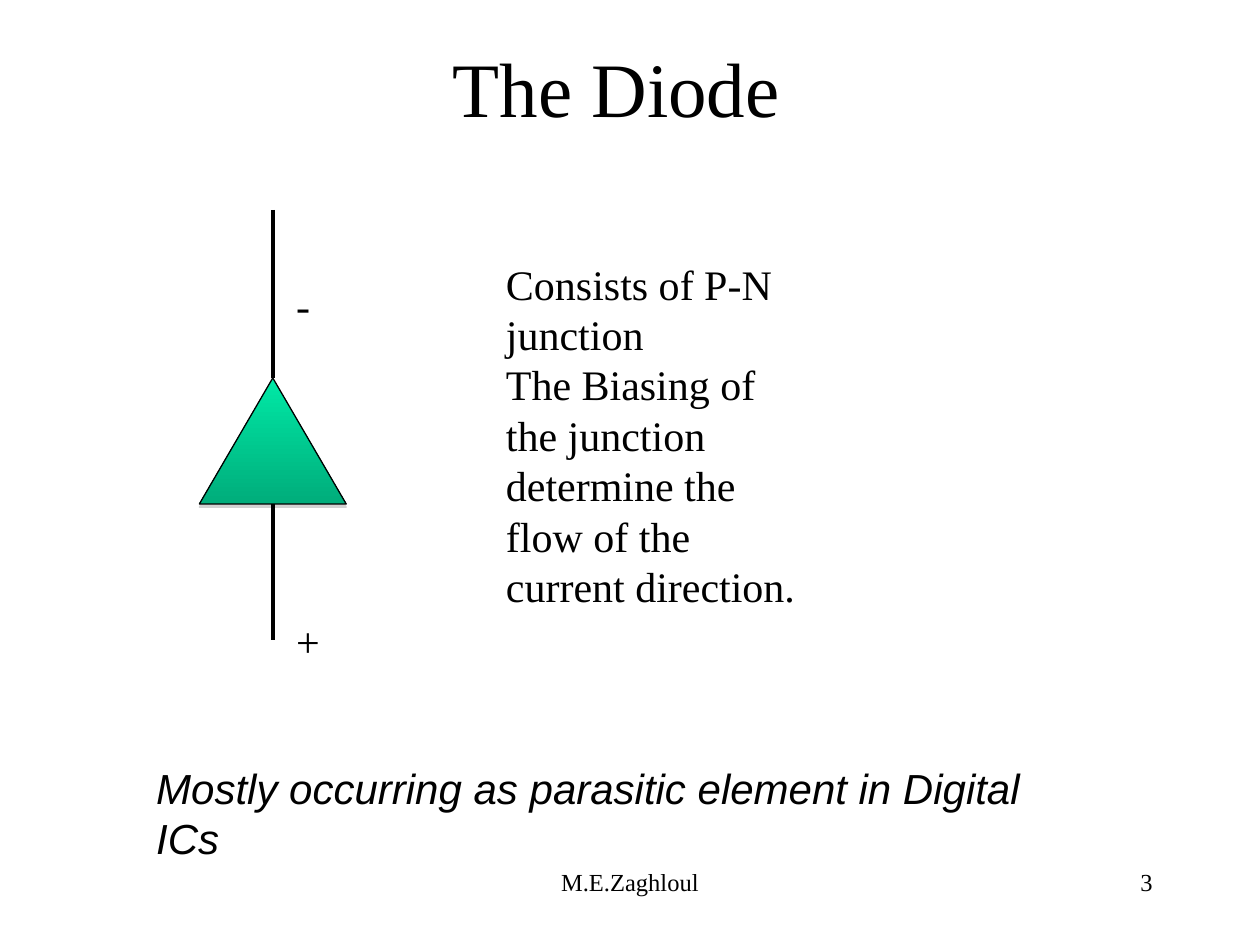
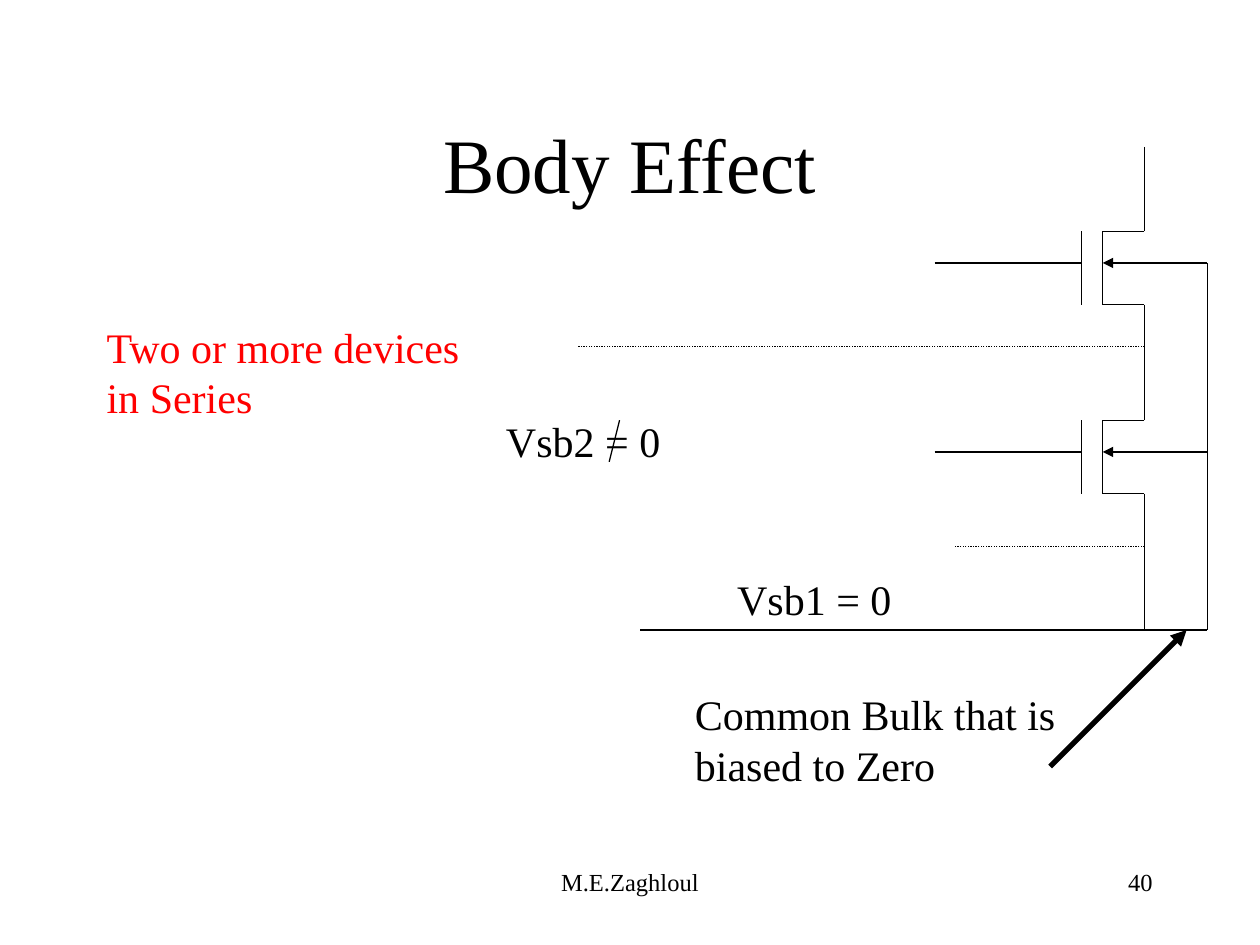
import dataclasses

import lxml.etree
import pptx
import pptx.dml.color
import pptx.enum.dml
import pptx.enum.shapes
import pptx.enum.text
import pptx.oxml.ns
import pptx.util

Cm, Pt = pptx.util.Cm, pptx.util.Pt
RGB = pptx.dml.color.RGBColor.from_string
ALIGN = pptx.enum.text.PP_ALIGN
AUTO = pptx.enum.text.MSO_AUTO_SIZE
qn = pptx.oxml.ns.qn


@dataclasses.dataclass(frozen=True)
class Theme:
    ink: str = "000000"
    accent: str = "FF0000"
    grad_top: str = "00E9A6"
    grad_bottom: str = "00AD7B"
    shadow: str = "808080"
    serif: str = "Times New Roman"
    sans: str = "Arial"
    title: int = 44
    body: int = 24
    footer: int = 14
    thin: float = 0.75
    lead: float = 2
    bold: float = 3


class Deck:
    """Holds the theme and the current slide; positions are in centimetres."""

    def __init__(self, theme):
        self.theme = theme
        self.prs = pptx.Presentation()
        self.prs.slide_width, self.prs.slide_height = Cm(25.4), Cm(19.05)
        self.s = None

    def style(self, p, size, color=None, font=None, align=ALIGN.LEFT, italic=False):
        p.alignment = align
        p.font.name = font or self.theme.serif
        p.font.size = Pt(size)
        p.font.italic = italic
        p.font.color.rgb = RGB(color or self.theme.ink)

    def slide(self, title, number, x, y, w, h):
        self.s = self.prs.slides.add_slide(self.prs.slide_layouts[5])
        sp = self.s.shapes.title
        sp.left, sp.top, sp.width, sp.height = Cm(x), Cm(y), Cm(w), Cm(h)
        tf = sp.text_frame
        tf.text = title
        tf.auto_size = AUTO.NONE
        tf.vertical_anchor = pptx.enum.text.MSO_ANCHOR.MIDDLE
        self.style(tf.paragraphs[0], self.theme.title, align=ALIGN.CENTER)
        # Footer
        for text, left, width, align in (("M.E.Zaghloul", 8.68, 8.04, ALIGN.CENTER),
                                         (str(number), 18.2, 5.29, ALIGN.RIGHT)):
            self.text([text], left, 17.36, width, 1.27, size=self.theme.footer,
                      align=align, grow=False)

    def text(self, lines, x, y, w, h, size=None, before=0, wrap=True, grow=True, **look):
        tf = self.s.shapes.add_textbox(Cm(x), Cm(y), Cm(w), Cm(h)).text_frame
        tf.word_wrap = wrap
        tf.auto_size = AUTO.SHAPE_TO_FIT_TEXT if grow else AUTO.NONE
        for i, line in enumerate(lines):
            p = tf.add_paragraph() if i else tf.paragraphs[0]
            p.text = line
            p.space_before = Pt(before)
            self.style(p, size or self.theme.body, **look)

    def line(self, x1, y1, x2, y2, width=None, dotted=False, head=False):
        sp = self.s.shapes.add_connector(pptx.enum.shapes.MSO_CONNECTOR.STRAIGHT,
                                         Cm(x1), Cm(y1), Cm(x2), Cm(y2))
        sp.line.color.rgb = RGB(self.theme.ink)
        sp.line.width = Pt(width or self.theme.thin)
        if dotted:
            sp.line.dash_style = pptx.enum.dml.MSO_LINE.ROUND_DOT
        if head:
            ln = sp.line._get_or_add_ln()
            lxml.etree.SubElement(ln, qn("a:headEnd"), type="triangle")
        lxml.etree.SubElement(sp._element.spPr, qn("a:effectLst"))

    def triangle(self, x, y, w, h):
        sp = self.s.shapes.add_shape(pptx.enum.shapes.MSO_SHAPE.ISOSCELES_TRIANGLE,
                                     Cm(x), Cm(y), Cm(w), Cm(h))
        sp.fill.gradient()
        sp.fill.gradient_angle = 270  # top to bottom
        colors = (self.theme.grad_top, self.theme.grad_bottom)
        for stop, position, color in zip(sp.fill.gradient_stops, (0, 1), colors):
            stop.position = position
            stop.color.rgb = RGB(color)
        sp.line.color.rgb = RGB(self.theme.ink)
        sp.line.width = Pt(self.theme.thin)
        # Soft shadow straight below
        sp.shadow.inherit = False
        effects = sp._element.spPr.find(qn("a:effectLst"))
        shadow = lxml.etree.SubElement(effects, qn("a:outerShdw"), blurRad="0",
                                       dist=str(Pt(1.8)), dir="5400000",
                                       rotWithShape="0")
        color = lxml.etree.SubElement(shadow, qn("a:srgbClr"), val=self.theme.shadow)
        lxml.etree.SubElement(color, qn("a:alpha"), val="35000")


def diode_slide(deck):
    deck.slide("The Diode", 3, 1.63, 0.76, 21.59, 1.98)
    deck.text(["Mostly occurring as parasitic element in Digital ICs"],
              2.9, 15.24, 19.41, 1.27, wrap=False, font=deck.theme.sans, italic=True)

    # Diode symbol with its leads and signs
    axis, top, bottom = 5.5, 7.62, 10.16
    deck.line(axis, 4.23, axis, top, deck.theme.lead)
    deck.triangle(axis - 1.48, top, 2.96, bottom - top)
    deck.line(axis, bottom, axis, 12.9, deck.theme.lead)
    deck.text(["+"], 5.72, 12.28, 1.48, 1.27)
    deck.text(["-"], 5.72, 5.5, 1.06, 1.27)

    deck.text(["Consists of P-N junction",
               "The Biasing of the junction determine the flow of the current direction."],
              9.95, 5.08, 6.77, 7.37)


def body_effect_slide(deck):
    deck.slide("Body Effect", 40, 1.9, 1.69, 21.59, 3.18)

    # Columns and rows of the circuit
    gate_in, gate, channel, drain, bulk = 18.84, 21.8, 22.23, 23.07, 24.34
    height, gate_drop, ground = 1.48, 0.64, 12.7
    tops = (4.66, 8.47)

    # Two transistors in series
    for top in tops:
        bottom, middle = top + height, top + gate_drop
        deck.line(drain, top, channel, top)
        deck.line(channel, top, channel, bottom)
        deck.line(channel, bottom, drain, bottom)
        deck.line(gate, top, gate, bottom)
        deck.line(gate_in, middle, gate, middle)
        deck.line(channel, middle, bulk, middle, head=True)

    # Wires along the drain column, then bulk and ground
    starts = (2.96, *(top + height for top in tops))
    for start, end in zip(starts, (*tops, ground)):
        deck.line(drain, start, drain, end)
    deck.line(bulk, tops[0] + gate_drop, bulk, ground)
    deck.line(12.91, ground, bulk, ground)

    # Source levels
    deck.line(drain, 11.01, 19.26, 11.01, dotted=True)
    deck.line(drain, 6.99, 11.64, 6.99, dotted=True)

    # Labels; a stroke turns the equals sign into "not equal"
    deck.text(["Vsb1 = 0"], 14.61, 11.43, 4.66, 1.27, before=15)
    deck.text(["Vsb2 = 0"], 9.95, 8.26, 5.29, 1.27, before=15)
    deck.line(12.49, 8.47, 12.28, 9.31)
    deck.text(["Common Bulk that is biased to Zero"], 13.76, 13.76, 9.1, 2.29, before=15)
    deck.line(23.92, ground, 21.17, 15.45, deck.theme.bold, head=True)
    deck.text(["Two or more devices in Series"], 1.9, 6.35, 7.62, 2.29, before=15,
              color=deck.theme.accent)


def main():
    deck = Deck(Theme())
    diode_slide(deck)
    body_effect_slide(deck)
    deck.prs.save("out.pptx")


if __name__ == "__main__":
    main()
